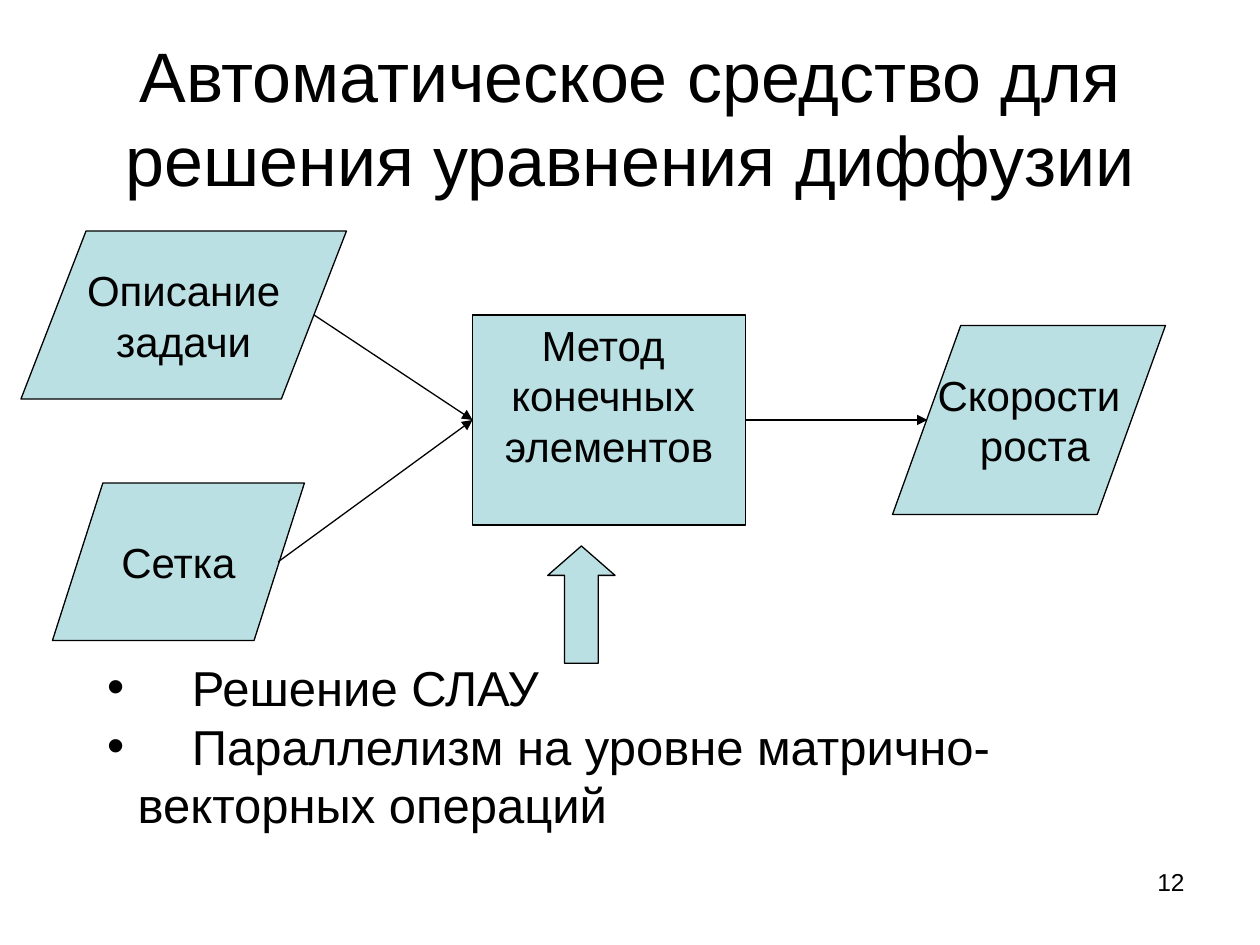
from lxml import etree
from pptx import Presentation
from pptx.dml.color import RGBColor
from pptx.enum.shapes import MSO_CONNECTOR, MSO_SHAPE
from pptx.enum.text import MSO_ANCHOR, MSO_AUTO_SIZE, PP_ALIGN
from pptx.oxml import parse_xml
from pptx.oxml.ns import nsdecls, qn
from pptx.util import Pt

DATA = MSO_SHAPE.FLOWCHART_DATA
RECT = MSO_SHAPE.RECTANGLE
SLANTED = MSO_SHAPE.PARALLELOGRAM
UP_ARROW = MSO_SHAPE.UP_ARROW
STRAIGHT = MSO_CONNECTOR.STRAIGHT
LEFT, CENTER, RIGHT = PP_ALIGN.LEFT, PP_ALIGN.CENTER, PP_ALIGN.RIGHT
TOP, MIDDLE = MSO_ANCHOR.TOP, MSO_ANCHOR.MIDDLE
LEFT_SIDE, RIGHT_SIDE = 1, 3

COLORS = {"ink": "000000", "fill": "BBE0E3"}
FONT = "Arial"
TITLE = "Автоматическое средство для решения уравнения диффузии"
POINTS = ["Решение СЛАУ", "Параллелизм на уровне матрично- векторных операций"]
HANG, FIRST_LINE = 17.5, 48.5
# name: (preset, box, adjustments, lines)
BLOCKS = {
    "task": (DATA, (12, 132, 186, 96), (), ["Описание", "задачи"]),
    "mesh": (DATA, (30, 276, 144, 90), (), ["Сетка"]),
    "method": (RECT, (270, 180, 156, 120), (), ["Метод ", "конечных ", "элементов"]),
    "rates": (SLANTED, (510, 186, 156, 108), (0.361,), ["Скорости", " роста"]),
    "up": (UP_ARROW, (313, 312, 38.5, 67), (0.5, 0.437), []),
}
# (start, end, width, side of the method block that is joined)
ARROWS = [
    ((426, 240), (530, 240), 1.25, RIGHT_SIDE),
    ((179.5, 180), (270, 240), 0.75, LEFT_SIDE),
    ((159, 321), (270, 240), 0.75, LEFT_SIDE),
]


def color(name):
    return RGBColor.from_string(COLORS[name])


def place(s, box):
    s.left, s.top, s.width, s.height = map(Pt, box)


def write(tf, lines, size, align, anchor, wrap=True):
    tf.auto_size = MSO_AUTO_SIZE.NONE
    tf.word_wrap = wrap
    tf.vertical_anchor = anchor
    for i, line in enumerate(lines):
        p = tf.paragraphs[0] if i == 0 else tf.add_paragraph()
        p.alignment = align
        p.space_before = Pt(0)
        r = p.add_run()
        r.text = line
        r.font.size, r.font.name = Pt(size), FONT
        r.font.color.rgb = color("ink")


def add_bullet(p):
    """Bullet with a deeper first line than the lines that follow."""
    pPr = p._p.get_or_add_pPr()
    pPr.set("marL", str(Pt(HANG)))
    pPr.set("indent", str(-Pt(HANG)))
    etree.SubElement(pPr, qn("a:buFont"), typeface=FONT)
    etree.SubElement(pPr, qn("a:buChar"), char="•")
    tabs = etree.SubElement(pPr, qn("a:tabLst"))
    etree.SubElement(tabs, qn("a:tab"), pos=str(Pt(FIRST_LINE)), algn="l")


def add_block(slide, preset, box, adjustments, lines):
    s = slide.shapes.add_shape(preset, *map(Pt, box))
    s.shadow.inherit = False
    s.fill.solid()
    s.fill.fore_color.rgb = color("fill")
    s.line.color.rgb = color("ink")
    s.line.width = Pt(0.75)
    for i, value in enumerate(adjustments):
        s.adjustments[i] = value
    write(s.text_frame, lines, 24, CENTER, MIDDLE, wrap=False)
    return s


def add_arrow(slide, start, end, width, block, side):
    c = slide.shapes.add_connector(STRAIGHT, *map(Pt, start + end))
    if side == RIGHT_SIDE:
        c.begin_connect(block, side)
    else:
        c.end_connect(block, side)
    c.line.color.rgb = color("ink")
    c.line.width = Pt(width)
    c.line._get_or_add_ln().append(
        parse_xml(f'<a:tailEnd {nsdecls("a")} type="triangle"/>'))
    etree.SubElement(c._element.spPr, qn("a:effectLst"))


def main():
    prs = Presentation()
    prs.slide_width, prs.slide_height = Pt(720), Pt(540)
    slide = prs.slides.add_slide(prs.slide_layouts[1])
    title, body = slide.placeholders

    place(title, (36, 21.6, 648, 90))
    write(title.text_frame, [TITLE], 40, CENTER, MIDDLE)

    blocks = {name: add_block(slide, *block) for name, block in BLOCKS.items()}
    blocks["method"].text_frame.margin_bottom = Pt(32)
    for start, end, width, side in ARROWS:
        add_arrow(slide, start, end, width, blocks["method"], side)

    place(body, (54, 372, 576, 108))
    write(body.text_frame, ["\t" + point for point in POINTS], 28, LEFT, TOP)
    for p in body.text_frame.paragraphs:
        add_bullet(p)

    number = slide.shapes.add_textbox(*map(Pt, (516, 492, 168, 37.5)))
    write(number.text_frame, ["12"], 14, RIGHT, TOP)

    prs.save("out.pptx")


if __name__ == "__main__":
    main()
